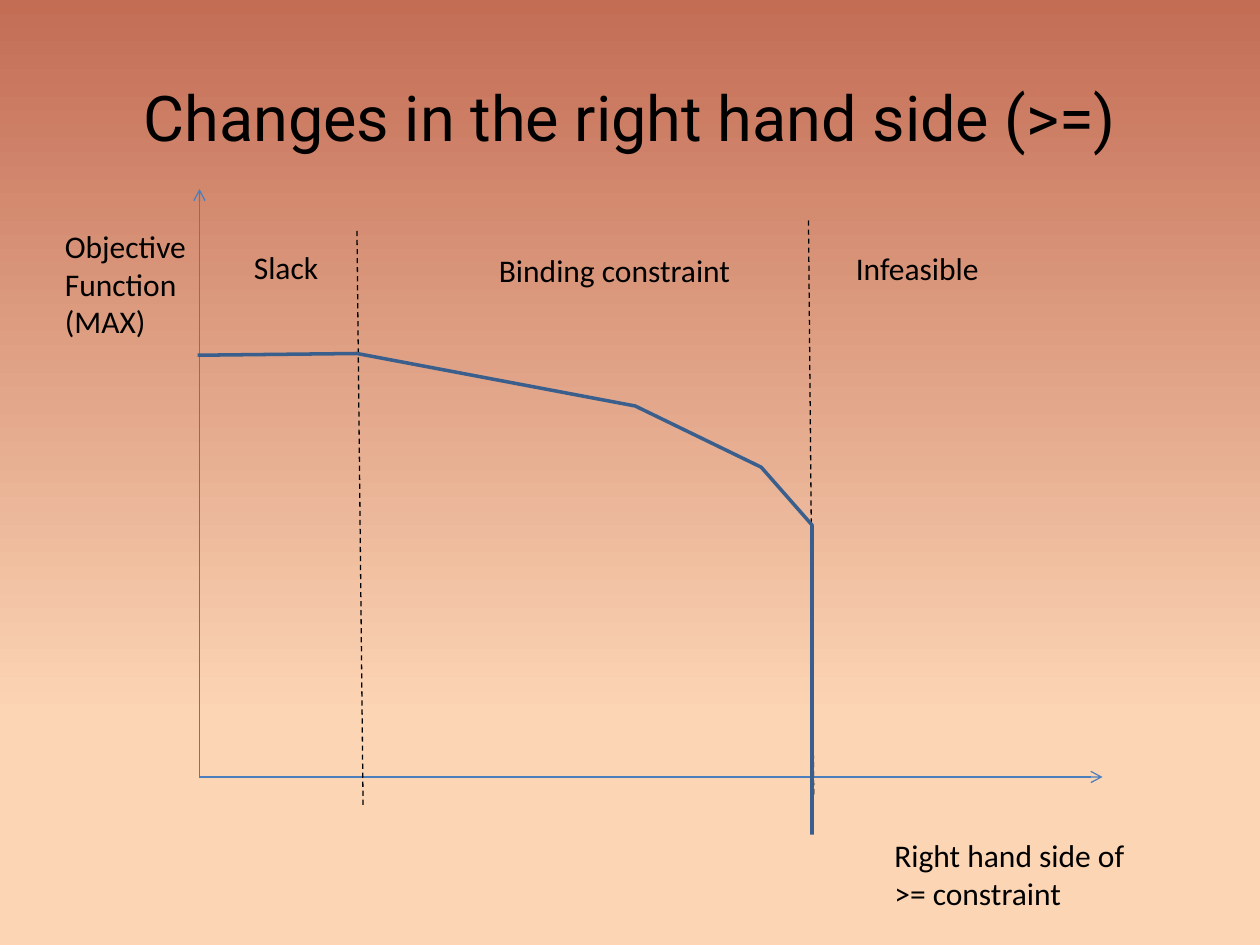
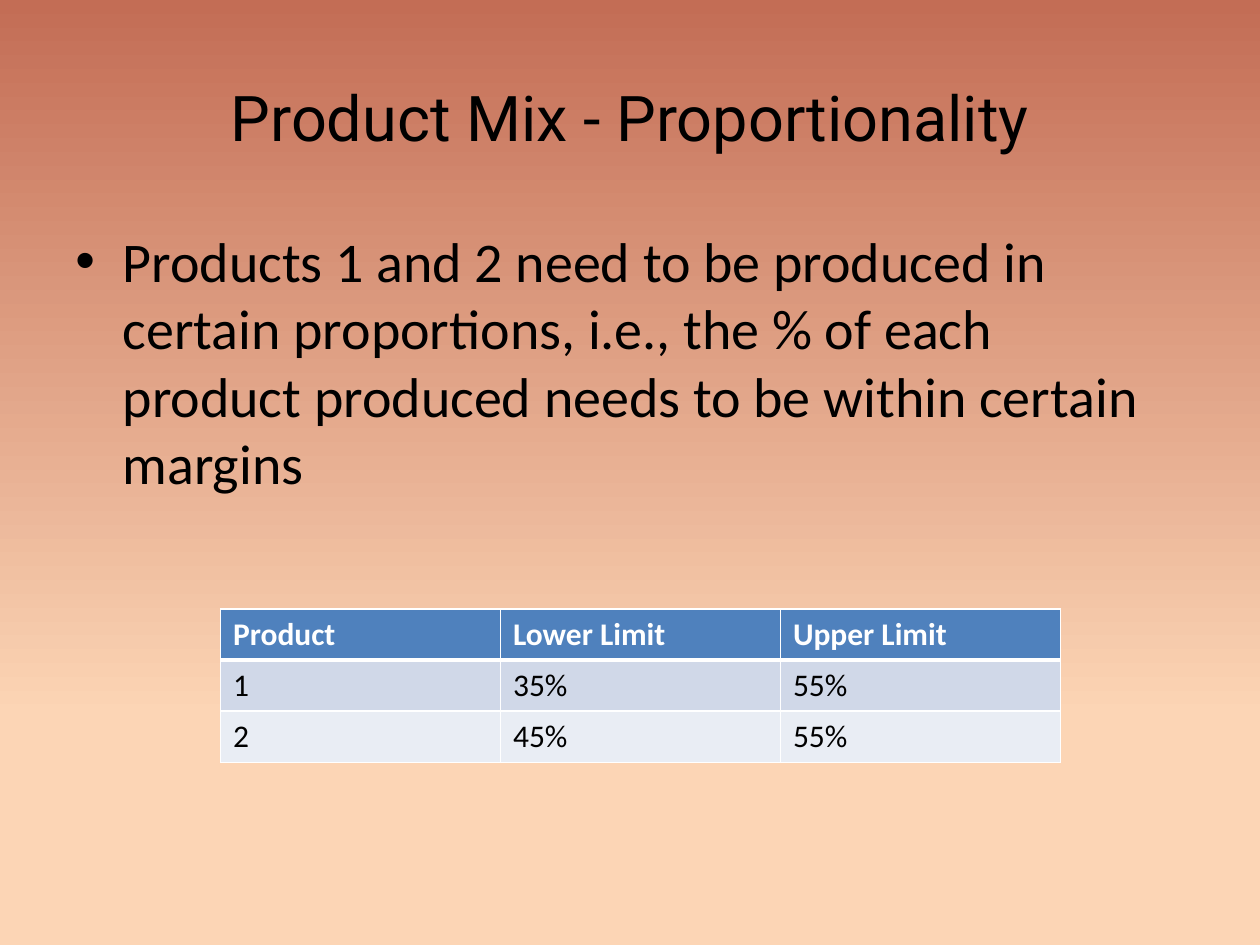
from pptx import Presentation
from pptx.dml.color import RGBColor
from pptx.enum.dml import MSO_LINE
from pptx.enum.shapes import MSO_CONNECTOR
from pptx.enum.text import MSO_ANCHOR, PP_ALIGN
from pptx.oxml.ns import qn
from pptx.util import Pt
from lxml import etree

STRAIGHT, DASH = MSO_CONNECTOR.STRAIGHT, MSO_LINE.DASH
MIDDLE, CENTER = MSO_ANCHOR.MIDDLE, PP_ALIGN.CENTER

BLACK = RGBColor(0x00, 0x00, 0x00)
WHITE = RGBColor(0xFF, 0xFF, 0xFF)
PEACH = RGBColor(0xFC, 0xD5, 0xB5)
RUST = RGBColor(0xC3, 0x6D, 0x55)
AXIS = RGBColor(0x4B, 0x7E, 0xBC)
CURVE = RGBColor(0x3A, 0x5F, 0x8C)
HEAD = RGBColor(0x4F, 0x81, 0xBD)
BANDS = (RGBColor(0xD0, 0xD8, 0xE8), RGBColor(0xE9, 0xED, 0xF4))

HEADING, BODY = "Roboto", "Calibri"
TITLE_BOX = (36, 21.6, 648, 90)
TITLE_ONLY = 5


def pts(*nums):
    return [Pt(n) for n in nums]


def add_run(para, text, size, color=BLACK, font=BODY, bold=False):
    run = para.add_run()
    run.text = text
    run.font.size, run.font.name, run.font.bold = Pt(size), font, bold
    run.font.color.rgb = color


def paint_back(master):
    """Vertical gradient shared by all slides."""
    fill = master.background.fill
    fill.gradient()
    fill.gradient_angle = 90
    for stop, spot, color in zip(fill.gradient_stops, (0.24, 1), (PEACH, RUST)):
        stop.position = spot
        stop.color.rgb = color


def add_slide(deck, text):
    """Slide with the common title."""
    slide = deck.slides.add_slide(deck.slide_layouts[TITLE_ONLY])
    title = slide.shapes.title
    title.left, title.top, title.width, title.height = pts(*TITLE_BOX)
    title.text_frame.vertical_anchor = MIDDLE
    para = title.text_frame.paragraphs[0]
    para.alignment = CENTER
    add_run(para, text, 36, font=HEADING)
    return slide


def add_text(slide, box, lines, size, wrap=False):
    frame = slide.shapes.add_textbox(*pts(*box)).text_frame
    frame.word_wrap = wrap
    for i, line in enumerate(lines):
        para = frame.add_paragraph() if i else frame.paragraphs[0]
        add_run(para, line, size)
    return frame


def add_line(slide, start, end, color, dash=None, arrow=False):
    link = slide.shapes.add_connector(STRAIGHT, *pts(*start, *end))
    link.line.color.rgb, link.line.width = color, Pt(0.75)
    if dash:
        link.line.dash_style = dash
    if arrow:
        tail = etree.SubElement(link.line._get_or_add_ln(), qn("a:tailEnd"))
        tail.set("type", "arrow")
    etree.SubElement(link._element.spPr, qn("a:effectLst"))


def draw_graph(slide, box):
    """Objective value against the right hand side."""
    left, top, width, height = box

    def at(x, y):
        return left + x, top + y

    # Axes
    for end in ((0, 0), (width, height)):
        add_line(slide, at(0, height), at(*end), AXIS, arrow=True)

    # Region borders
    for start, end in (((90, 24), (93.5, 354)), ((348, 18), (351, 348))):
        add_line(slide, at(*start), at(*end), BLACK, dash=DASH)

    # Objective curve
    knots = [at(*knot) for knot in ((-1, 95), (90, 94), (249, 124.5),
                                    (321, 159), (350, 192), (350.5, 369))]
    build = slide.shapes.build_freeform(*knots[0], scale=Pt(1))
    build.add_line_segments(knots[1:], close=False)
    curve = build.convert_to_shape()
    curve.shadow.inherit = False
    curve.fill.background()
    curve.line.color.rgb, curve.line.width = CURVE, Pt(2)

    # Axis and region labels
    labels = (
        (-84, 18, 84, 73, ("Objective", "Function", "(MAX)")),
        (390, 366, 152, 51, ("Right hand side of", ">= constraint")),
        (24, 30, 52, 29, ("Slack",)),
        (164, 32, 148, 29, ("Binding constraint",)),
        (368, 31, 86, 29, ("Infeasible",)),
    )
    for x, y, wide, high, lines in labels:
        add_text(slide, (*at(x, y), wide, high), lines, 18)


def add_bullet(slide, box, text):
    frame = add_text(slide, box, [text], 32, wrap=True)
    para = frame.paragraphs[0]
    para.space_before = Pt(6.4)
    props = para._p.get_or_add_pPr()
    props.set("marL", str(Pt(27)))
    props.set("indent", str(Pt(-27)))
    etree.SubElement(props, qn("a:buFont")).set("typeface", "Arial")
    etree.SubElement(props, qn("a:buChar")).set("char", "•")


def edge_cell(cell, sides):
    """White borders; they come before the fill in the cell."""
    props = cell._tc.get_or_add_tcPr()
    for i, (side, width) in enumerate(sides.items()):
        line = etree.Element(qn("a:ln" + side), w=str(Pt(width)))
        solid = etree.SubElement(line, qn("a:solidFill"))
        etree.SubElement(solid, qn("a:srgbClr")).set("val", str(WHITE))
        props.insert(i, line)


def add_limits(slide, box, rows):
    """Table with a header row and banded body rows."""
    grid = slide.shapes.add_table(len(rows), len(rows[0]), *pts(*box)).table
    for r, row in enumerate(rows):
        for c, text in enumerate(row):
            cell = grid.cell(r, c)
            cell.fill.solid()
            cell.fill.fore_color.rgb = BANDS[(r - 1) % 2] if r else HEAD
            add_run(cell.text_frame.paragraphs[0], text, 18,
                    BLACK if r else WHITE, bold=r == 0)
            edge_cell(cell, {"L": 1, "R": 1, "T": 3 if r == 1 else 1,
                             "B": 1 if r else 3})


def main():
    deck = Presentation()
    deck.slide_width, deck.slide_height = pts(720, 540)
    paint_back(deck.slide_master)

    slide = add_slide(deck, "Changes in the right hand side (>=)")
    draw_graph(slide, (114, 108, 516, 336))

    slide = add_slide(deck, "Product Mix - Proportionality")
    add_bullet(slide, (36, 126, 648, 356),
               "Products 1 and 2 need to be produced in certain proportions, "
               "i.e., the % of each product produced needs to be within "
               "certain margins")
    add_limits(slide, (126, 348, 480, 87.6),
               (("Product", "Lower Limit", "Upper Limit"),
                ("1", "35%", "55%"),
                ("2", "45%", "55%")))

    deck.save("out.pptx")


if __name__ == "__main__":
    main()
